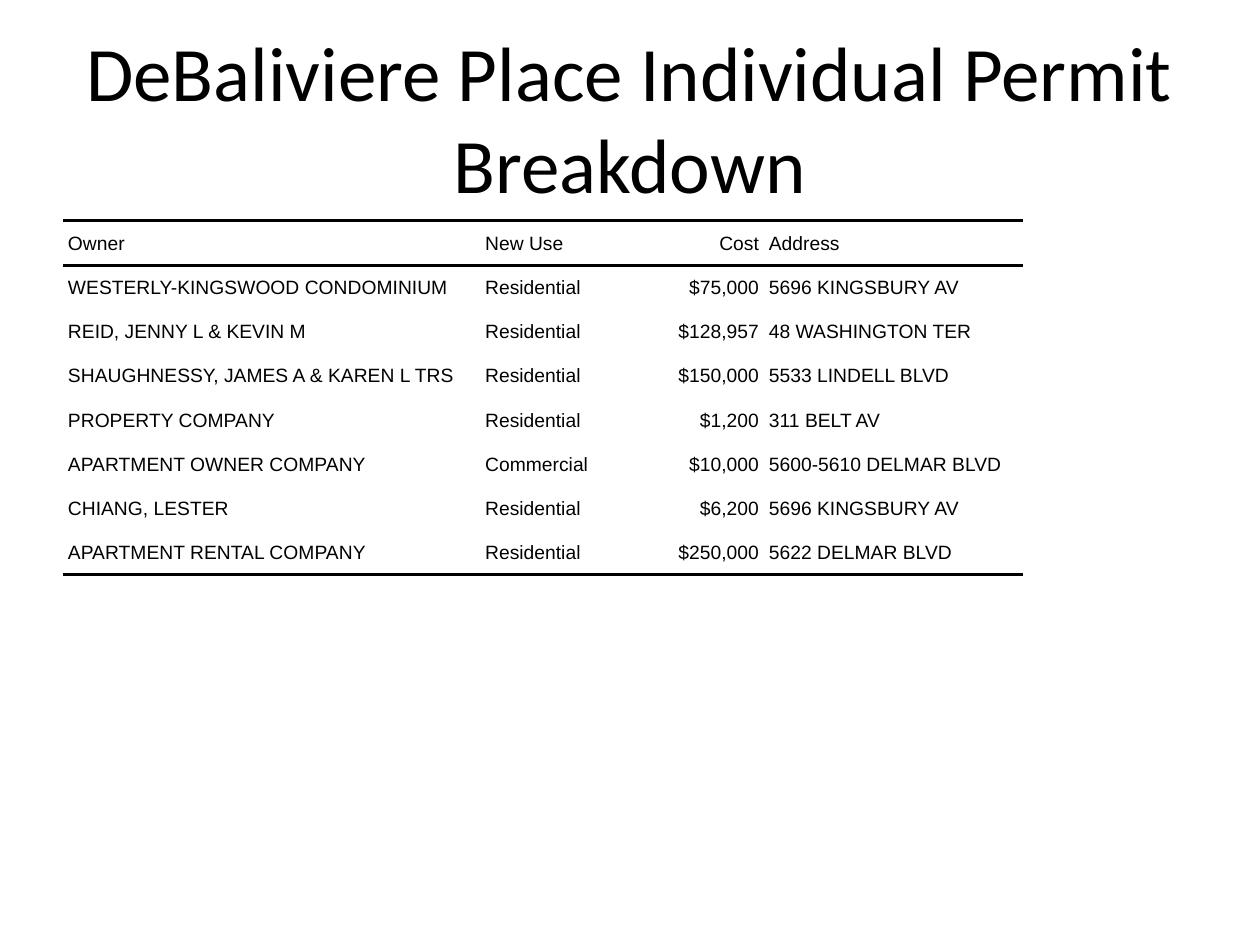
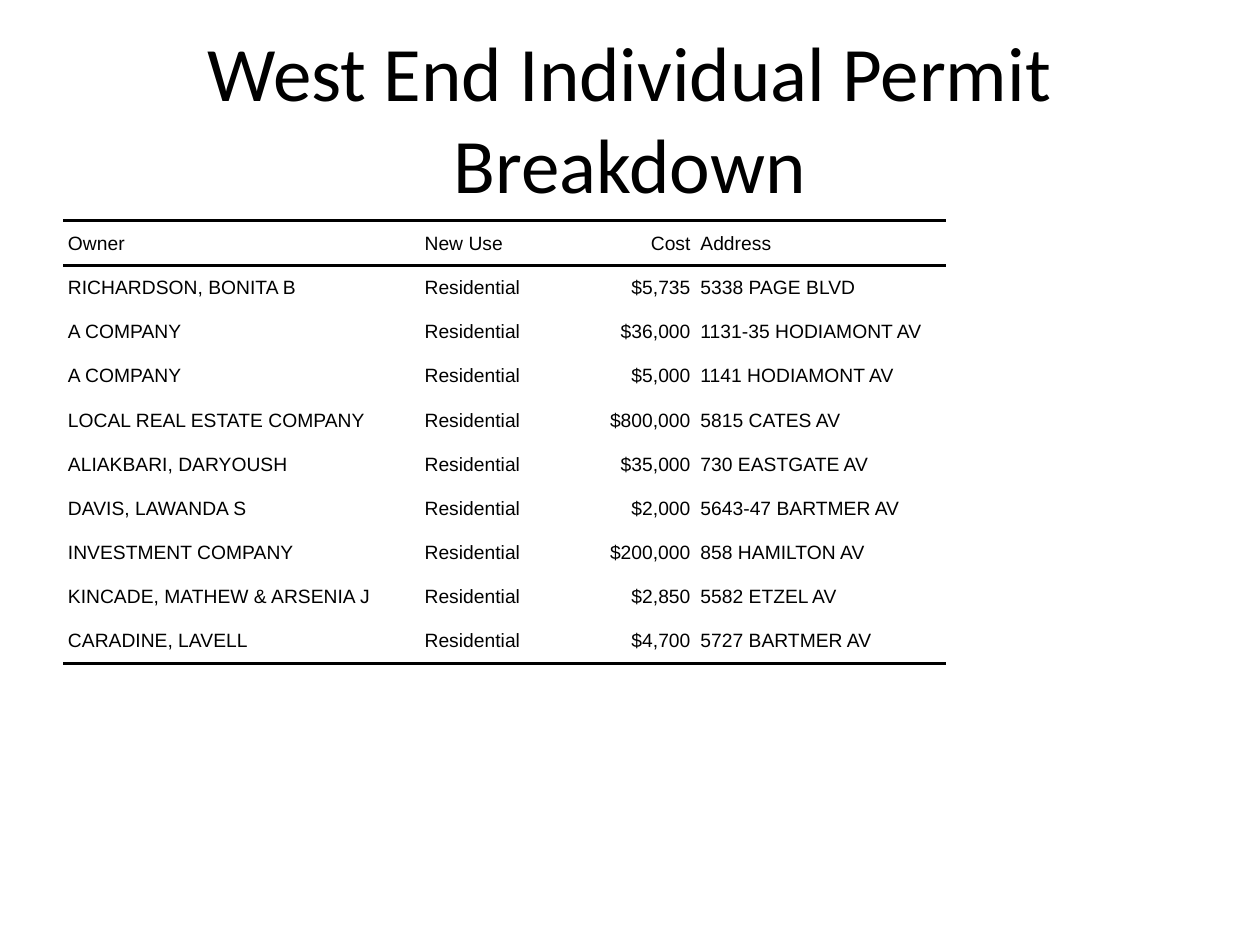
from dataclasses import dataclass

from lxml.etree import SubElement
from pptx import Presentation
from pptx.dml.color import RGBColor
from pptx.enum.text import MSO_ANCHOR, PP_ALIGN
from pptx.oxml.ns import qn
from pptx.util import Cm, Pt


@dataclass(frozen=True)
class Theme:
    ink: str = "000000"
    title_font: str = "Calibri"
    title_size: int = 44
    table_font: str = "Arial"
    table_size: int = 11
    rule_width: int = 2
    plain_table_style: str = "{2D5ABB26-0587-4C30-8999-92F81FD0307C}"


THEME = Theme()
LEFT = Cm(1.27)
TABLE_TOP = Cm(4.45)
HEADER_HEIGHT = Cm(0.91)
ROW_HEIGHT = Cm(0.89)
CELL_INDENT = Cm(0.1)
HEADER = ("Owner", "New Use", "Cost", "Address")
COST_COLUMN = HEADER.index("Cost")

NEIGHBORHOODS = [
    {
        "title": "DeBaliviere Place Individual Permit Breakdown",
        "widths": (8.41, 2.62, 3.1, 5.23),
        "permits": [
            ("WESTERLY-KINGSWOOD CONDOMINIUM", "Residential", "$75,000", "5696 KINGSBURY AV"),
            ("REID, JENNY L & KEVIN M", "Residential", "$128,957", "48 WASHINGTON TER"),
            ("SHAUGHNESSY, JAMES A & KAREN L TRS", "Residential", "$150,000", "5533 LINDELL BLVD"),
            ("PROPERTY COMPANY", "Residential", "$1,200", "311 BELT AV"),
            ("APARTMENT OWNER COMPANY", "Commercial", "$10,000", "5600-5610 DELMAR BLVD"),
            ("CHIANG, LESTER", "Residential", "$6,200", "5696 KINGSBURY AV"),
            ("APARTMENT RENTAL COMPANY", "Residential", "$250,000", "5622 DELMAR BLVD"),
        ],
    },
    {
        "title": "West End Individual Permit Breakdown",
        "widths": (7.19, 2.46, 3.1, 5.05),
        "permits": [
            ("RICHARDSON, BONITA B", "Residential", "$5,735", "5338 PAGE BLVD"),
            ("A COMPANY", "Residential", "$36,000", "1131-35 HODIAMONT AV"),
            ("A COMPANY", "Residential", "$5,000", "1141 HODIAMONT AV"),
            ("LOCAL REAL ESTATE COMPANY", "Residential", "$800,000", "5815 CATES AV"),
            ("ALIAKBARI, DARYOUSH", "Residential", "$35,000", "730 EASTGATE AV"),
            ("DAVIS, LAWANDA S", "Residential", "$2,000", "5643-47 BARTMER AV"),
            ("INVESTMENT COMPANY", "Residential", "$200,000", "858 HAMILTON AV"),
            ("KINCADE, MATHEW & ARSENIA J", "Residential", "$2,850", "5582 ETZEL AV"),
            ("CARADINE, LAVELL", "Residential", "$4,700", "5727 BARTMER AV"),
        ],
    },
]


def write_text(text_frame, text, *, font, size, align=PP_ALIGN.LEFT, spacing=0, indent=0):
    """Fill the first paragraph; the indent applies on both sides."""
    paragraph = text_frame.paragraphs[0]
    paragraph.alignment = align
    paragraph.space_before = paragraph.space_after = Pt(spacing)
    properties = paragraph._p.get_or_add_pPr()
    properties.set("marL", str(indent))
    properties.set("marR", str(indent))
    run = paragraph.add_run()
    run.text = text
    run.font.name = font
    run.font.size = Pt(size)
    run.font.color.rgb = RGBColor.from_string(THEME.ink)


def add_rule(cell, edge):
    """Draw a cell border; edge is lnT or lnB, top first."""
    line = SubElement(cell._tc.get_or_add_tcPr(), qn(f"a:{edge}"), w=str(Pt(THEME.rule_width)))
    fill = SubElement(line, qn("a:solidFill"))
    SubElement(fill, qn("a:srgbClr"), val=THEME.ink)


presentation = Presentation()
presentation.slide_width = Cm(25.4)
presentation.slide_height = Cm(19.05)
blank_layout = presentation.slide_layouts[6]

for neighborhood in NEIGHBORHOODS:
    slide = presentation.slides.add_slide(blank_layout)

    title = slide.shapes.add_textbox(LEFT, Cm(0.76), Cm(22.86), Cm(3.18)).text_frame
    title.word_wrap = True
    title.vertical_anchor = MSO_ANCHOR.MIDDLE
    write_text(title, neighborhood["title"], font=THEME.title_font,
               size=THEME.title_size, align=PP_ALIGN.CENTER)

    rows = [HEADER, *neighborhood["permits"]]
    widths = [Cm(width) for width in neighborhood["widths"]]
    height = HEADER_HEIGHT + ROW_HEIGHT * (len(rows) - 1)
    table = slide.shapes.add_table(len(rows), len(HEADER), LEFT, TABLE_TOP,
                                   sum(widths), height).table
    table.horz_banding = False
    table._tbl.tblPr.find(qn("a:tableStyleId")).text = THEME.plain_table_style
    for column, width in zip(table.columns, widths):
        column.width = width

    for row_index, row in enumerate(rows):
        table.rows[row_index].height = ROW_HEIGHT if row_index else HEADER_HEIGHT
        for column_index, text in enumerate(row):
            cell = table.cell(row_index, column_index)
            cell.margin_left = cell.margin_right = cell.margin_top = cell.margin_bottom = 0
            cell.vertical_anchor = MSO_ANCHOR.MIDDLE
            if row_index == 0:
                add_rule(cell, "lnT")
            if row_index in (0, len(rows) - 1):
                add_rule(cell, "lnB")
            cell.fill.background()
            align = PP_ALIGN.RIGHT if column_index == COST_COLUMN else PP_ALIGN.LEFT
            write_text(cell.text_frame, text, font=THEME.table_font, size=THEME.table_size,
                       align=align, spacing=3, indent=CELL_INDENT)

presentation.save("out.pptx")
